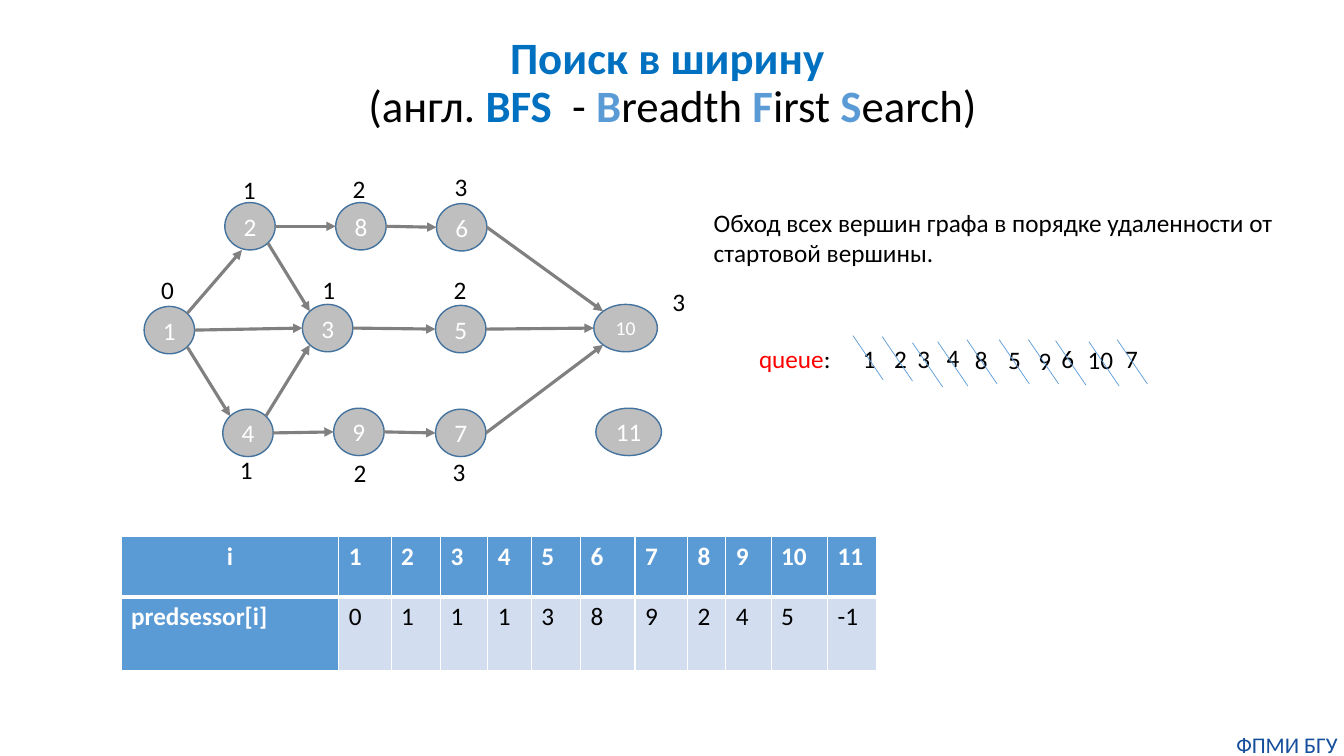
from lxml import etree
from pptx import Presentation
from pptx.dml.color import RGBColor
from pptx.enum import shapes, text
from pptx.oxml.ns import qn
from pptx.util import Inches, Pt

BLACK = RGBColor(0x00, 0x00, 0x00)
WHITE = RGBColor(0xFF, 0xFF, 0xFF)
RED = RGBColor(0xFF, 0x00, 0x00)
TITLE_BLUE = RGBColor(0x00, 0x70, 0xC0)
ACCENT = RGBColor(0x5B, 0x9B, 0xD5)
PALE_BLUE = RGBColor(0xD2, 0xDE, 0xEF)
NODE_FILL = RGBColor(0xBF, 0xBF, 0xBF)
NODE_LINE = RGBColor(0x43, 0x73, 0x9E)
EDGE_GREY = RGBColor(0x80, 0x80, 0x80)
FOOTER_BLUE = RGBColor(0x14, 0x4E, 0x9D)
LEFT, CENTER = text.PP_ALIGN.LEFT, text.PP_ALIGN.CENTER


def write(tf, runs, size=18, align=LEFT):
    """Fill the first paragraph with (text, colour, bold) runs; None breaks the line."""
    tf.word_wrap = True
    p = tf.paragraphs[0]
    p.alignment = align
    for run in runs:
        if run is None:
            p.add_line_break()
            continue
        r = p.add_run()
        r.text, r.font.color.rgb, r.font.bold = run
        r.font.name, r.font.size = "Calibri", Pt(size)
    return p


def add_line(start, end, color, width):
    line = s.shapes.add_connector(
        shapes.MSO_CONNECTOR.STRAIGHT, *(Inches(v) for v in (*start, *end)))
    line.line.color.rgb, line.line.width = color, Pt(width)
    etree.SubElement(line._element.spPr, qn("a:effectLst"))
    return line


prs = Presentation()
prs.slide_width, prs.slide_height = Inches(13.33), Inches(7.5)
s = prs.slides.add_slide(prs.slide_layouts[5])

# Title
title = s.shapes.title
title.left, title.top = Inches(3.32), Inches(0.11)
title.width, title.height = Inches(6.7), Inches(1.45)
title.text_frame.vertical_anchor = text.MSO_ANCHOR.MIDDLE
p = write(title.text_frame, [
    ("Поиск в ширину ", TITLE_BLUE, True), None,
    ("(англ. ", BLACK, False), ("BFS ", TITLE_BLUE, True), (" - ", BLACK, False),
    ("B", ACCENT, True), ("readth ", BLACK, False),
    ("F", ACCENT, True), ("irst ", BLACK, False),
    ("S", ACCENT, True), ("earch)", BLACK, False)], 32, CENTER)
p.line_spacing = 0.9

# Graph nodes: number -> left, top, width
NODE_H = 0.47
nodes = {
    1: (1.43, 3.04, 0.5), 2: (2.23, 2.01, 0.5), 3: (3.0, 3.02, 0.5),
    4: (2.21, 4.06, 0.5), 5: (4.32, 3.03, 0.5), 6: (4.33, 2.02, 0.5),
    7: (4.32, 4.06, 0.5), 8: (3.33, 2.01, 0.5), 9: (3.31, 4.05, 0.5),
    10: (5.89, 3.02, 0.63), 11: (5.91, 4.05, 0.65)}
for number, (x, y, w) in nodes.items():
    sp = s.shapes.add_shape(shapes.MSO_SHAPE.OVAL, Inches(x), Inches(y),
                            Inches(w), Inches(NODE_H))
    sp.shadow.inherit = False
    sp.fill.solid()
    sp.fill.fore_color.rgb = NODE_FILL
    sp.line.color.rgb, sp.line.width = NODE_LINE, Pt(1)
    tf = sp.text_frame
    tf.margin_left = tf.margin_right = 0
    tf.vertical_anchor = text.MSO_ANCHOR.MIDDLE
    write(tf, [(str(number), WHITE, False)], 14 if number == 10 else 18, CENTER)

# Edges join points on the node outlines, given in radii from the centre
sites = {"left": (-1, 0), "right": (1, 0), "bottom": (-0.32, 1),
         "top left": (-0.71, -0.71), "top right": (0.71, -0.71),
         "bottom left": (-0.71, 0.71), "bottom right": (0.71, 0.71)}
edges = [
    (1, "right", 3, "left"), (3, "right", 5, "left"), (5, "right", 10, "left"),
    (2, "right", 8, "left"), (8, "right", 6, "left"),
    (4, "right", 9, "left"), (9, "right", 7, "left"),
    (1, "top right", 2, "bottom"), (1, "bottom right", 4, "top left"),
    (2, "bottom right", 3, "top left"), (4, "top right", 3, "bottom left"),
    (6, "right", 10, "top left"), (7, "right", 10, "bottom left")]
for source, source_site, target, target_site in edges:
    ends = []
    for number, site in ((source, source_site), (target, target_site)):
        x, y, w = nodes[number]
        dx, dy = sites[site]
        ends.append((x + w / 2 * (1 + dx), y + NODE_H / 2 * (1 + dy)))
    edge = add_line(*ends, EDGE_GREY, 2.25)
    etree.SubElement(edge.line._get_or_add_ln(), qn("a:tailEnd"), type="triangle")

# Queue, with every vertex struck out: vertex, left, top, strike left, strike top
queue = [
    (1, 8.46, 3.36, 8.46, 3.33), (2, 8.77, 3.36, 8.75, 3.34),
    (3, 9.0, 3.36, 9.05, 3.4), (4, 9.29, 3.35, 9.3, 3.39),
    (8, 9.57, 3.37, 9.59, 3.37), (5, 9.9, 3.37, 9.91, 3.37),
    (9, 10.2, 3.38, 10.2, 3.37), (6, 10.43, 3.36, 10.47, 3.38),
    (10, 10.69, 3.37, 10.8, 3.39), (7, 11.06, 3.36, 11.08, 3.37)]
# Distance of each reached vertex from the start: distance, left, top
distances = [
    (0, 1.5, 2.67), (1, 2.31, 1.68), (1, 3.1, 2.67), (1, 2.28, 4.46),
    (2, 3.4, 1.67), (2, 4.4, 2.67), (2, 3.41, 4.49),
    (3, 4.41, 1.65), (3, 6.57, 2.79), (3, 4.39, 4.48)]

# Text boxes: left, top, width, height, runs
boxes = [
    (6.98, 2.01, 5.84, 0.71,
     [("Обход всех вершин графа в порядке удаленности от стартовой вершины.",
       BLACK, False)]),
    (7.43, 3.36, 1.1, 0.4, [("queue", RED, False), (":", BLACK, False)])]
for value, x, y, *_ in queue + distances:
    boxes.append((x, y, 0.54 if value == 10 else 0.33, 0.4,
                  [(str(value), BLACK, False)]))
for x, y, w, h, runs in boxes:
    box = s.shapes.add_textbox(Inches(x), Inches(y), Inches(w), Inches(h))
    write(box.text_frame, runs)

for *_, x, y in queue:
    add_line((x, y), (x + 0.3, y + 0.44), ACCENT, 0.5)

# Predecessor table
rows = [["i", *range(1, 12)],
        ["predsessor[i]", 0, 1, 1, 1, 3, 8, 9, 2, 4, 5, -1]]
col_widths = [2.16, 0.52, 0.49, 0.47, 0.43, 0.49, 0.54, 0.52, 0.38, 0.45, 0.56, 0.49]
row_heights = [0.6, 0.73]
table = s.shapes.add_table(len(rows), len(col_widths), Inches(1.2), Inches(5.32),
                           Inches(sum(col_widths)), Inches(sum(row_heights))).table
for column, w in zip(table.columns, col_widths):
    column.width = Inches(w)
for row, h in zip(table.rows, row_heights):
    row.height = Inches(h)
for i, values in enumerate(rows):
    for j, value in enumerate(values):
        cell = table.cell(i, j)
        heading = i == 0 or j == 0
        write(cell.text_frame, [(str(value), WHITE if heading else BLACK, heading)],
              align=CENTER if i == j == 0 else LEFT)
        borders = {"a:lnL": 1, "a:lnR": 1, "a:lnT": 3 if i else 1, "a:lnB": 1 if i else 3}
        for side, width in borders.items():
            ln = etree.SubElement(cell._tc.get_or_add_tcPr(), qn(side), w=str(Pt(width)))
            fill = etree.SubElement(ln, qn("a:solidFill"))
            etree.SubElement(fill, qn("a:srgbClr"), val=str(WHITE))
        cell.fill.solid()
        cell.fill.fore_color.rgb = ACCENT if heading else PALE_BLUE

# Footer
footer = s.shapes.add_textbox(Inches(12.2), Inches(7.25), Inches(1.13), Inches(0.27))
tf = footer.text_frame
tf.margin_left = tf.margin_right = tf.margin_top = tf.margin_bottom = 0
write(tf, [("ФПМИ БГУ", FOOTER_BLUE, False)], 16, CENTER)

prs.save("out.pptx")
